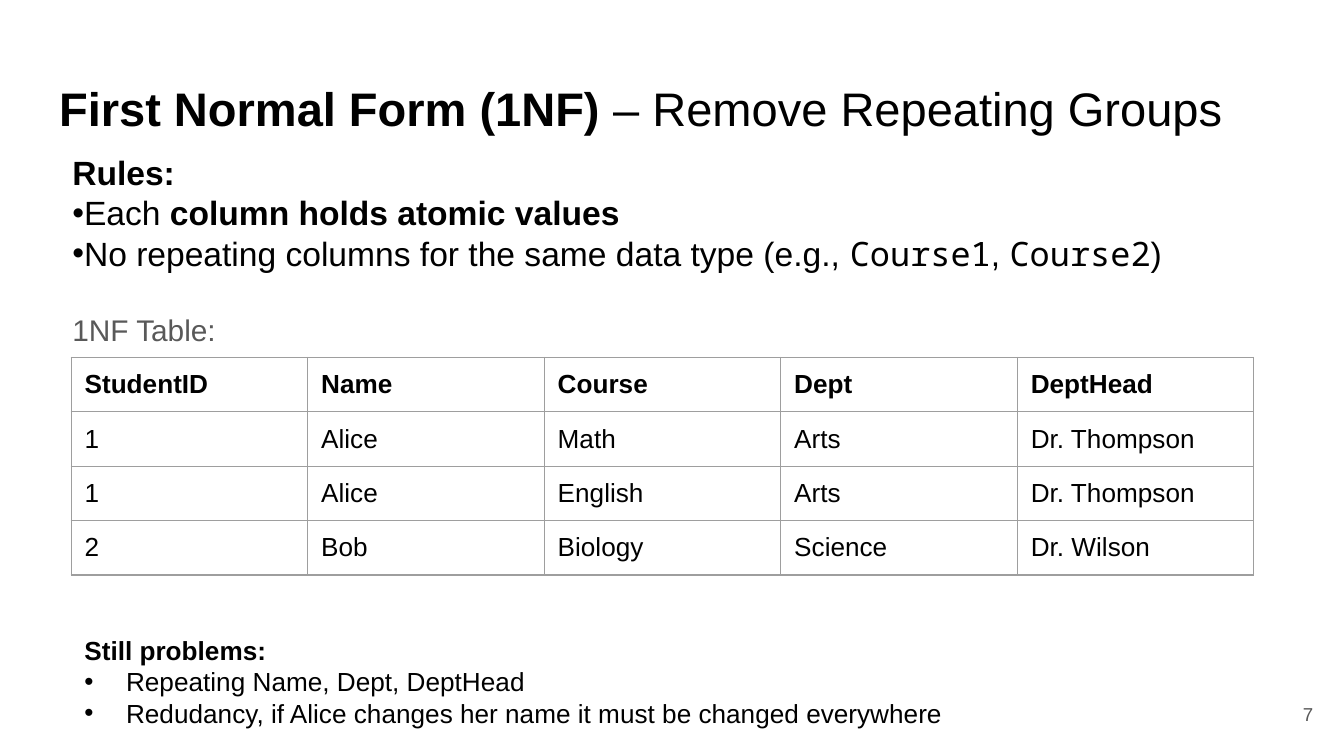
from lxml.etree import SubElement
from pptx import Presentation
from pptx.dml.color import RGBColor
from pptx.enum.text import MSO_ANCHOR as Anchor, PP_ALIGN as Align
from pptx.oxml.ns import qn
from pptx.util import Inches, Pt

BLACK = RGBColor(0x00, 0x00, 0x00)
GREY = RGBColor(0x59, 0x59, 0x59)
BORDER = "9E9E9E"
SANS, MONO = "Arial", "Noto Sans Mono"


def write(para, parts, size, color=BLACK):
    """Fill a paragraph with (text, bold, font) parts."""
    for text, bold, font in parts:
        span = para.add_run()
        span.text = text
        span.font.name = font
        span.font.size = Pt(size)
        span.font.bold = bold
        span.font.color.rgb = color


def add_bullet(para, indent=0):
    props = para._p.get_or_add_pPr()
    props.set("marL", str(Inches(indent)))
    props.set("indent", str(-Inches(indent)))
    SubElement(props, qn("a:buFont"), typeface=SANS)
    SubElement(props, qn("a:buChar"), char="•")


# Widescreen page, 16:9
deck = Presentation()
deck.slide_width = Inches(10)
deck.slide_height = Inches(10 * 9 / 16)
page = deck.slides.add_slide(deck.slide_layouts[5])

# Title
title = page.shapes.title
title.left, title.top = Inches(0.34), Inches(0.49)
title.width, title.height = Inches(9.32), Inches(0.63)
frame = title.text_frame
frame.vertical_anchor = Anchor.TOP
frame.margin_left = frame.margin_right = Inches(0.1)
frame.margin_top = frame.margin_bottom = Inches(0.1)
frame.paragraphs[0].alignment = Align.LEFT
write(frame.paragraphs[0], [("First Normal Form (1NF)", True, SANS),
                            (" – Remove Repeating Groups", False, SANS)], 25.2)

# Slide number
number = page.shapes.add_textbox(Inches(9.27), Inches(5.1), Inches(0.6), Inches(0.43))
number.text_frame.word_wrap = True
number.text_frame.vertical_anchor = Anchor.MIDDLE
number.text_frame.paragraphs[0].alignment = Align.RIGHT
write(number.text_frame.paragraphs[0], [("7", False, SANS)], 10, GREY)

# Rules and table caption
rules = page.shapes.add_textbox(Inches(0.44), Inches(1.07), Inches(8.57), Inches(1.88))
frame = rules.text_frame
frame.word_wrap = True
frame.vertical_anchor = Anchor.MIDDLE
frame.margin_bottom = Inches(0.35)
write(frame.paragraphs[0], [("Rules:", True, SANS)], 18)
rule_lines = [
    [("Each ", False, SANS), ("column holds atomic values", True, SANS)],
    [("No repeating columns for the same data type (e.g., ", False, SANS),
     ("Course1", False, MONO), (", ", False, SANS),
     ("Course2", False, MONO), (")", False, SANS)],
]
for parts in rule_lines:
    para = frame.add_paragraph()
    add_bullet(para)
    write(para, parts, 18)
caption = frame.add_paragraph()
caption.space_before = Pt(21)
write(caption, [("1NF Table:", False, SANS)], 16, GREY)

# Table
rows = [
    ["StudentID", "Name", "Course", "Dept", "DeptHead"],
    ["1", "Alice", "Math", "Arts", "Dr. Thompson"],
    ["1", "Alice", "English", "Arts", "Dr. Thompson"],
    ["2", "Bob", "Biology", "Science", "Dr. Wilson"],
]
table = page.shapes.add_table(len(rows), len(rows[0]), Inches(0.53), Inches(2.66),
                              Inches(8.8), Inches(1.62)).table
table.first_row = table.horz_banding = False
for row_index, row in enumerate(rows):
    for column_index, text in enumerate(row):
        cell = table.cell(row_index, column_index)
        cell.vertical_anchor = Anchor.MIDDLE
        write(cell.text_frame.paragraphs[0], [(text, row_index == 0, SANS)], 14)
        props = cell._tc.get_or_add_tcPr()
        for side in ("a:lnL", "a:lnR", "a:lnT", "a:lnB"):
            line = SubElement(props, qn(side), w=str(Pt(0.75)))
            fill = SubElement(line, qn("a:solidFill"))
            SubElement(fill, qn("a:srgbClr"), val=BORDER)
        cell.fill.background()

# Remaining problems
problems = page.shapes.add_textbox(Inches(0.53), Inches(4.67), Inches(8.74), Inches(0.81))
frame = problems.text_frame
frame.word_wrap = True
write(frame.paragraphs[0], [("Still problems:", True, SANS)], 14)
for text in ("Repeating Name, Dept, DeptHead",
             "Redudancy, if Alice changes her name it must be changed everywhere"):
    para = frame.add_paragraph()
    add_bullet(para, 0.31)
    write(para, [(text, False, SANS)], 14)

deck.save("out.pptx")
